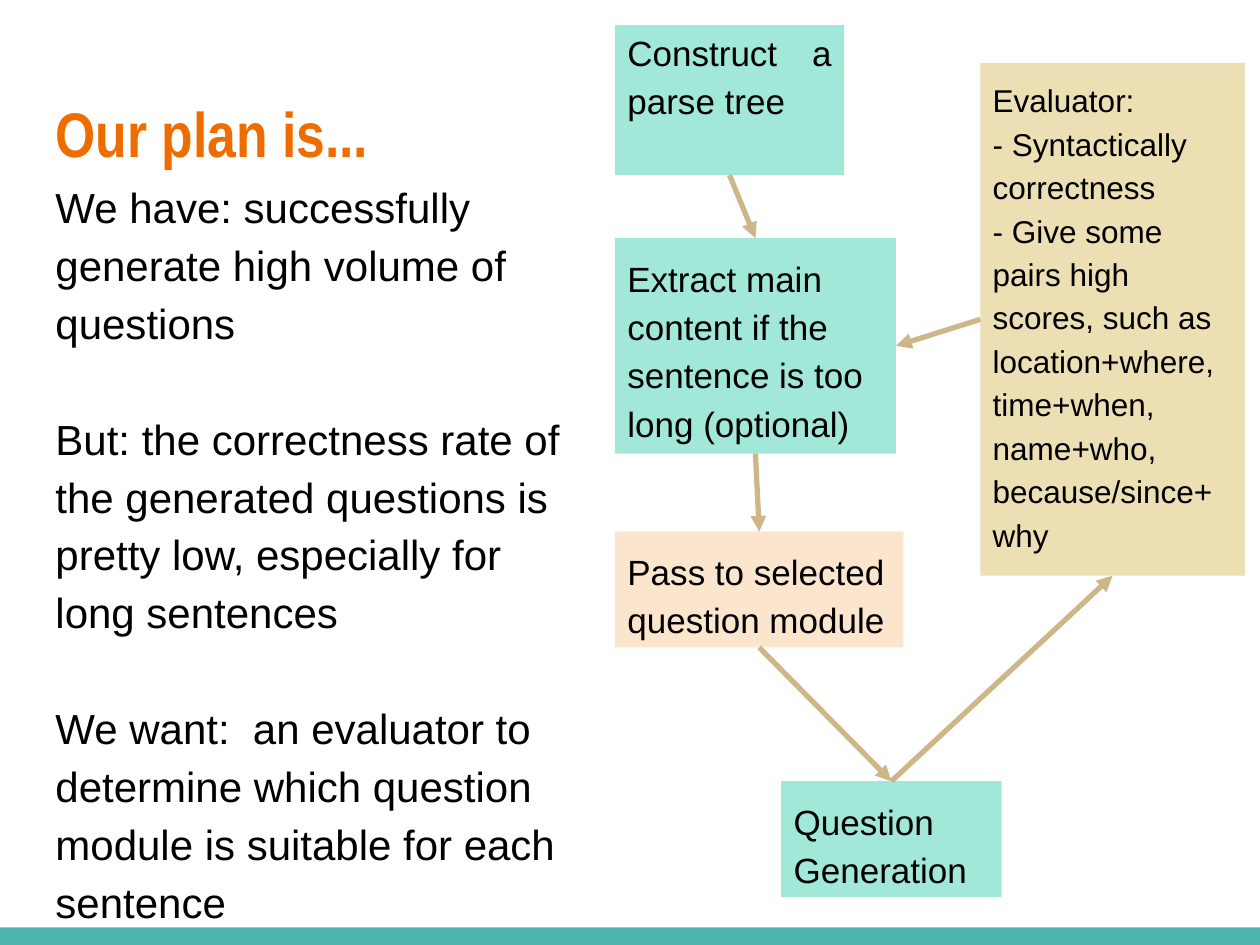
from lxml.etree import SubElement as Sub
from pptx import Presentation as Deck
from pptx.dml.color import RGBColor as Rgb
from pptx.enum.shapes import MSO_CONNECTOR as Link, MSO_SHAPE as Kind
from pptx.enum.text import MSO_ANCHOR as Anchor, MSO_AUTO_SIZE as Fit, PP_ALIGN as Align
from pptx.oxml.ns import qn
from pptx.util import Pt

HUES = {"bar": "4DB6AC", "title": "EF6C00", "text": "000000", "mint": "A1E8D9",
        "sand": "E7D7A1", "peach": "FCE5CD", "arrow": "CEB689"}
INSET = 7.2
FRAME = {"word_wrap": True, "auto_size": Fit.NONE, "vertical_anchor": Anchor.TOP,
         **{f"margin_{side}": Pt(INSET) for side in ("left", "top", "right", "bottom")}}
TITLE = {"size": Pt(36), "name": "Arial Narrow", "bold": True}
TOP, LEFT, BOTTOM, RIGHT = range(4)

PLAN = [
    "We have: successfully generate high volume of questions",
    "But: the correctness rate of the generated questions is pretty low, "
    "especially for long sentences",
    "We want:  an evaluator to determine which question module is suitable "
    "for each sentence",
]
NODES = {
    "parse": ((0, 0, 131, 85.7), "mint", 20, ["Construct a parse tree"]),
    "judge": ((208.8, 21.6, 151.2, 293), "sand", 18, [
        "Evaluator:", "- Syntactically correctness",
        "- Give some pairs high scores, such as location+where, time+when, "
        "name+who, because/since+why"]),
    "pass": ((0, 289.4, 164.9, 66.2), "peach", 20,
             ["Pass to selected question module"]),
    "make": ((95, 432, 126, 66.2), "mint", 20, ["Question Generation"]),
    "main": ((0, 121.7, 160.6, 123.1), "mint", 20,
             ["Extract main content if the sentence is too long (optional)"]),
}
LINKS = [("parse", BOTTOM, "main", TOP), ("judge", LEFT, "main", RIGHT),
         ("main", BOTTOM, "pass", TOP), ("make", TOP, "judge", BOTTOM),
         ("pass", BOTTOM, "make", TOP)]


def apply(obj, form):
    for key, value in form.items():
        setattr(obj, key, value)


def hue(name):
    return Rgb.from_string(HUES[name])


def place(shape, box):
    apply(shape, dict(zip(("left", "top", "width", "height"), map(Pt, box))))


def write(shape, lines, font, tint="text", line=1.15, gap=0):
    frame = shape.text_frame
    apply(frame, FRAME)
    frame.text = "\n".join(lines)
    for rank, para in enumerate(frame.paragraphs):
        apply(para, {"alignment": Align.LEFT, "line_spacing": line,
                     "space_before": Pt(gap if rank else 0), "space_after": Pt(0)})
        for run in para.runs:
            apply(run.font, font)
            run.font.color.rgb = hue(tint)


def block(slide, box, tint):
    shape = slide.shapes.add_shape(Kind.RECTANGLE, *map(Pt, box))
    shape.shadow.inherit = False
    shape.fill.solid()
    shape.fill.fore_color.rgb = hue(tint)
    shape.line.fill.background()
    return shape


def arrow(slide, start, exit, end, entry):
    line = slide.shapes.add_connector(Link.STRAIGHT, 0, 0, 0, 0)
    line.begin_connect(start, exit)
    line.end_connect(end, entry)
    line.line.width = Pt(3)
    line.line.color.rgb = hue("arrow")
    props = line._element.spPr
    Sub(props.find(qn("a:ln")), qn("a:tailEnd"), type="triangle")
    Sub(props, qn("a:effectLst"))


def head(slide, box):
    title = slide.shapes.title
    place(title, box)
    write(title, ["Our plan is..."], TITLE, "title", 1.0)


def body(slide, box):
    text = slide.placeholders[1]
    place(text, box)
    write(text, PLAN, {"size": Pt(24), "name": "Arial"}, gap=33)
    for para in text.text_frame.paragraphs:
        props = para._p.get_or_add_pPr()
        props.set("marL", "0")
        props.set("indent", "0")
        Sub(props, qn("a:buNone"))


def flow(slide, box):
    x, y = box[:2]
    nodes = {}
    for name, ((dx, dy, w, h), tint, size, lines) in NODES.items():
        nodes[name] = block(slide, (x + dx, y + dy, w, h), tint)
        write(nodes[name], lines, {"size": Pt(size), "name": "Arial"})
    first = nodes["parse"].text_frame
    first.margin_top = 0
    first.paragraphs[0].alignment = Align.JUSTIFY
    color = nodes["judge"]._element.spPr.find(qn("a:solidFill"))[0]
    Sub(color, qn("a:alpha"), val="80000")
    for start, exit, end, entry in LINKS:
        arrow(slide, nodes[start], exit, nodes[end], entry)


def main():
    deck = Deck()
    deck.slide_width, deck.slide_height = Pt(720), Pt(540)
    slide = deck.slides.add_slide(deck.slide_layouts[1])
    block(slide, (0, 530, 720, 10), "bar")
    head(slide, (24.5, 46.8, 671, 74.2))
    body(slide, (24.5, 92.2, 306.7, 429.8))
    flow(slide, (351.4, 14.4, 360, 498.2))
    deck.save("out.pptx")


if __name__ == "__main__":
    main()
